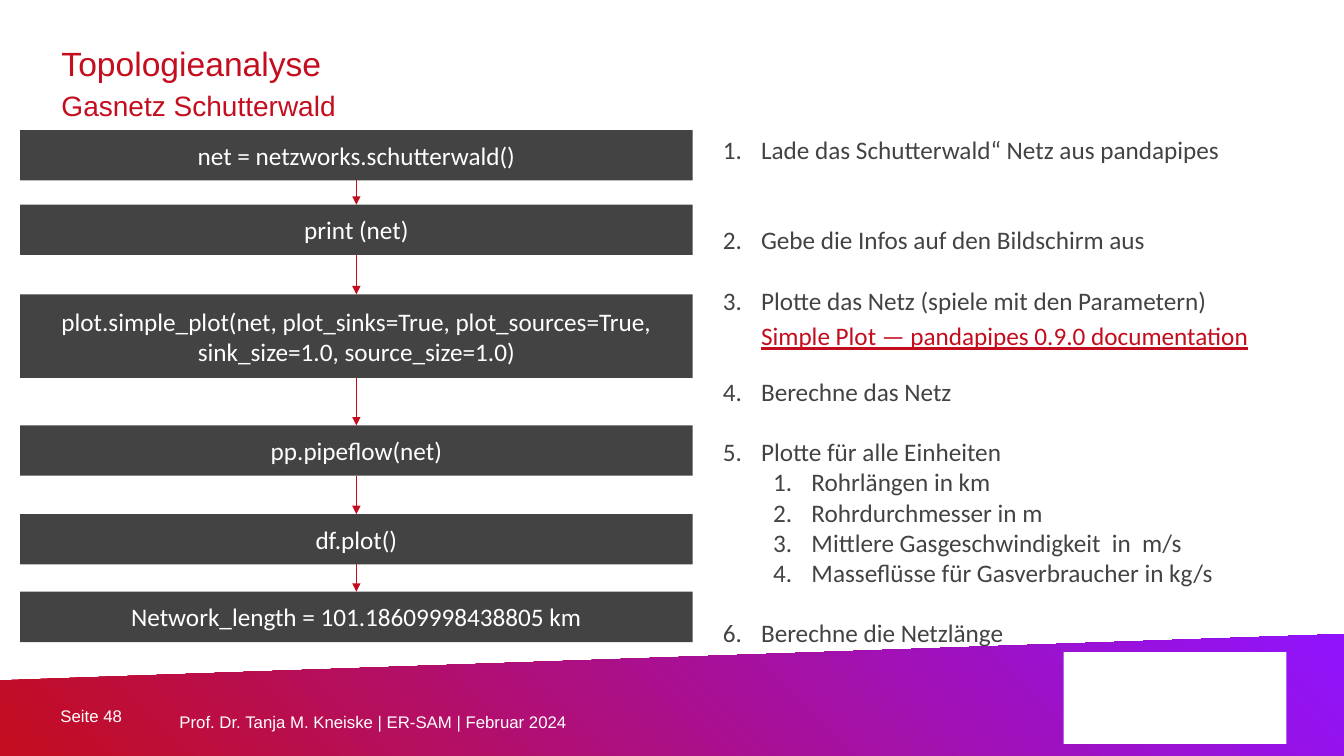
from lxml import etree
from pptx import Presentation
from pptx.dml.color import RGBColor
from pptx.enum.shapes import MSO_CONNECTOR as Connector, MSO_SHAPE as Shape
from pptx.enum.text import MSO_ANCHOR as Anchor, PP_ALIGN as Align
from pptx.oxml.ns import qn
from pptx.util import Inches, Pt

RED, GREY, WHITE, PURPLE = "C40D1E", "434343", "FFFFFF", "9013FE"
ARROW_RED = "C30D1E"


def color(value):
    return RGBColor.from_string(value)


def add_text(box, lines, anchor, margin=None):
    """Add a text box; each line is (text, size, font, colour, line spacing)."""
    text_box = slide.shapes.add_textbox(*map(Inches, box))
    frame = text_box.text_frame
    frame.word_wrap = margin is not None
    frame.vertical_anchor = anchor
    if margin is not None:
        frame.margin_left = frame.margin_right = Inches(margin)
        frame.margin_top = frame.margin_bottom = Inches(margin)
    frame.text = "\n".join(line[0] for line in lines)
    for paragraph, (_, size, font, text_color, spacing) in zip(frame.paragraphs, lines):
        if spacing:
            paragraph.line_spacing = Pt(spacing)
        for run in paragraph.runs:
            run.font.size = Pt(size)
            run.font.name = font
            run.font.color.rgb = color(text_color)
    return text_box


presentation = Presentation()
presentation.slide_width = Inches(13.33)
presentation.slide_height = Inches(7.5)
slide = presentation.slides.add_slide(presentation.slide_layouts[6])

# Footer band
builder = slide.shapes.build_freeform(0, Inches(6.75))
corners = [(13.34, 6.29), (13.33, 7.5), (0, 7.5)]
builder.add_line_segments([(Inches(x), Inches(y)) for x, y in corners], close=True)
band = builder.convert_to_shape()
band.shadow.inherit = False
band.line.fill.background()
band.fill.gradient()
band.fill.gradient_angle = 45
for stop, position, stop_color in zip(band.fill.gradient_stops, (0, 1), (RED, PURPLE)):
    stop.position = position
    stop.color.rgb = color(stop_color)

add_text((0.6, 7, 1.18, 0.21), [("Seite 48", 12, "Arial", WHITE, None)], Anchor.MIDDLE, 0)
footer = "Prof. Dr. Tanja M. Kneiske | ER-SAM | Februar 2024"
add_text((1.78, 6.95, 8.33, 0.29), [(footer, 12, "Arial", WHITE, 24)], Anchor.MIDDLE, 0)

logo_area = slide.shapes.add_shape(
    Shape.RECTANGLE, Inches(10.55), Inches(6.47), Inches(2.21), Inches(0.91))
logo_area.shadow.inherit = False
logo_area.fill.solid()
logo_area.fill.fore_color.rgb = color(WHITE)
logo_area.line.fill.background()

# Title
add_text((0.61, 0.43, 9.09, 0.78),
         [("Topologieanalyse", 24, "Arial", RED, 28),
          ("Gasnetz Schutterwald", 20, "Arial", RED, 28)], Anchor.BOTTOM, 0)

# Flow chart: text, top, height
steps = [
    ("net = netzworks.schutterwald()", 1.29, 0.5),
    ("print (net)", 2.03, 0.5),
    ("plot.simple_plot(net, plot_sinks=True, plot_sources=True, "
     "sink_size=1.0, source_size=1.0)", 2.92, 0.83),
    ("pp.pipeflow(net)", 4.22, 0.5),
    ("df.plot()", 5.1, 0.5),
    ("Network_length = 101.18609998438805 km", 5.87, 0.5),
]
previous = None
for text, top, height in steps:
    step = slide.shapes.add_shape(
        Shape.RECTANGLE, Inches(0.2), Inches(top), Inches(6.67), Inches(height))
    step.shadow.inherit = False
    step.fill.solid()
    step.fill.fore_color.rgb = color(GREY)
    step.line.fill.background()
    step.text_frame.text = text
    step.text_frame.vertical_anchor = Anchor.MIDDLE
    paragraph = step.text_frame.paragraphs[0]
    paragraph.alignment = Align.CENTER
    font = paragraph.runs[0].font
    font.size, font.name = Pt(18), "Calibri"
    font.color.rgb = color(WHITE)
    if previous is not None:
        arrow = slide.shapes.add_connector(Connector.STRAIGHT, 0, 0, 0, 0)
        arrow.begin_connect(previous, 2)
        arrow.end_connect(step, 0)
        arrow.line.color.rgb = color(ARROW_RED)
        arrow.line.width = Pt(0.5)
        etree.SubElement(arrow.line._get_or_add_ln(), qn("a:tailEnd"), type="triangle")
        etree.SubElement(arrow._element.spPr, qn("a:effectLst"))
    previous = step

# Numbered tasks: text, level, free lines above
tasks = [
    ("Lade das Schutterwald“ Netz aus pandapipes", 0, 0),
    ("Gebe die Infos auf den Bildschirm aus", 0, 2),
    ("Plotte das Netz (spiele mit den Parametern)", 0, 1),
    ("Berechne das Netz", 0, 2),
    ("Plotte für alle Einheiten", 0, 1),
    ("Rohrlängen in km", 1, 0),
    ("Rohrdurchmesser in m", 1, 0),
    ("Mittlere Gasgeschwindigkeit  in  m/s", 1, 0),
    ("Masseflüsse für Gasverbraucher in kg/s", 1, 0),
    ("Berechne die Netzlänge", 0, 1),
]
task_box = add_text((7.07, 1.28, 5.19, 6.16),
                    [(text, 18, "Calibri", GREY, None) for text, _, _ in tasks], Anchor.TOP)
for paragraph, (_, level, free_lines) in zip(task_box.text_frame.paragraphs, tasks):
    paragraph.level = level
    if free_lines:
        paragraph.space_before = Pt(21.6 * free_lines)
    properties = paragraph._p.get_or_add_pPr()
    properties.set("marL", str(Inches(0.38 + 0.5 * level)))
    properties.set("indent", str(Inches(-0.38)))
    etree.SubElement(properties, qn("a:buFont"), typeface="+mj-lt")
    etree.SubElement(properties, qn("a:buAutoNum"), type="arabicPeriod")

documentation = add_text(
    (7.45, 3.13, 5.09, 0.4),
    [("Simple Plot — pandapipes 0.9.0 documentation", 18, "Calibri", ARROW_RED, None)],
    Anchor.TOP)
documentation.text_frame.paragraphs[0].runs[0].font.underline = True

presentation.save("out.pptx")
